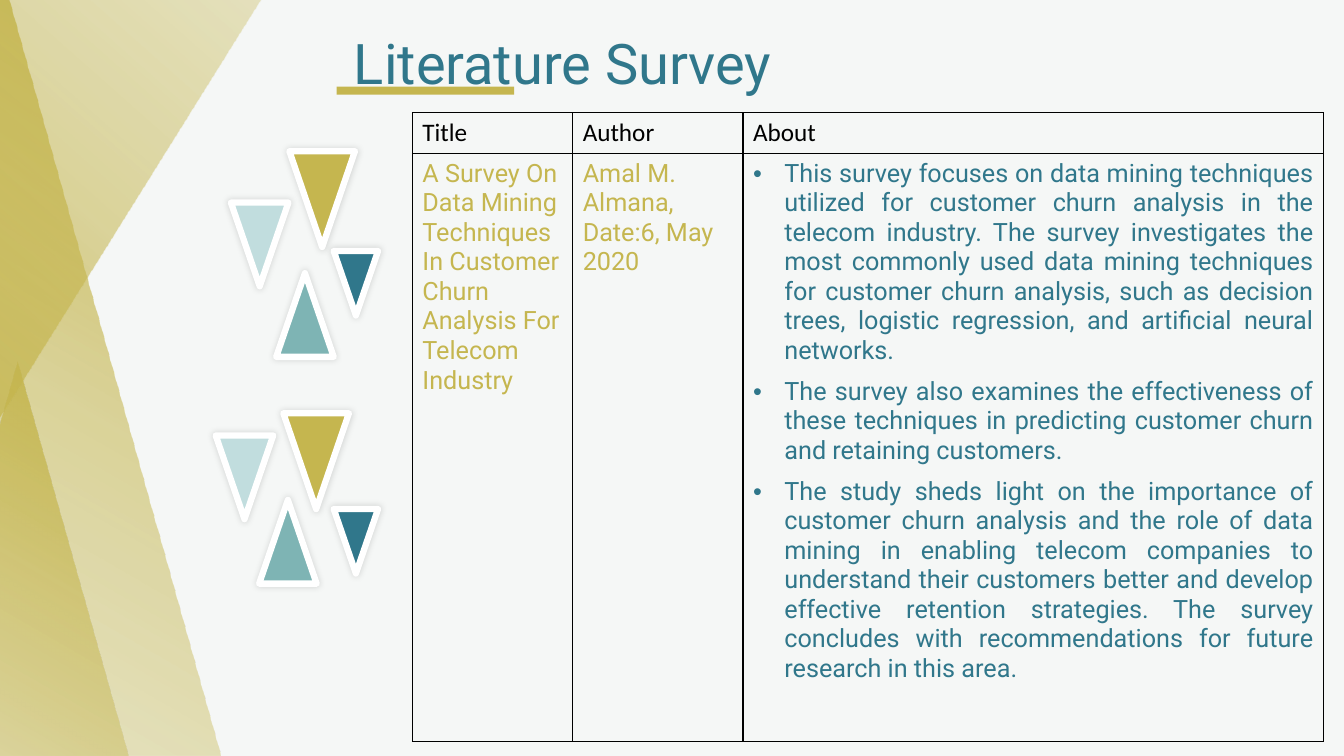
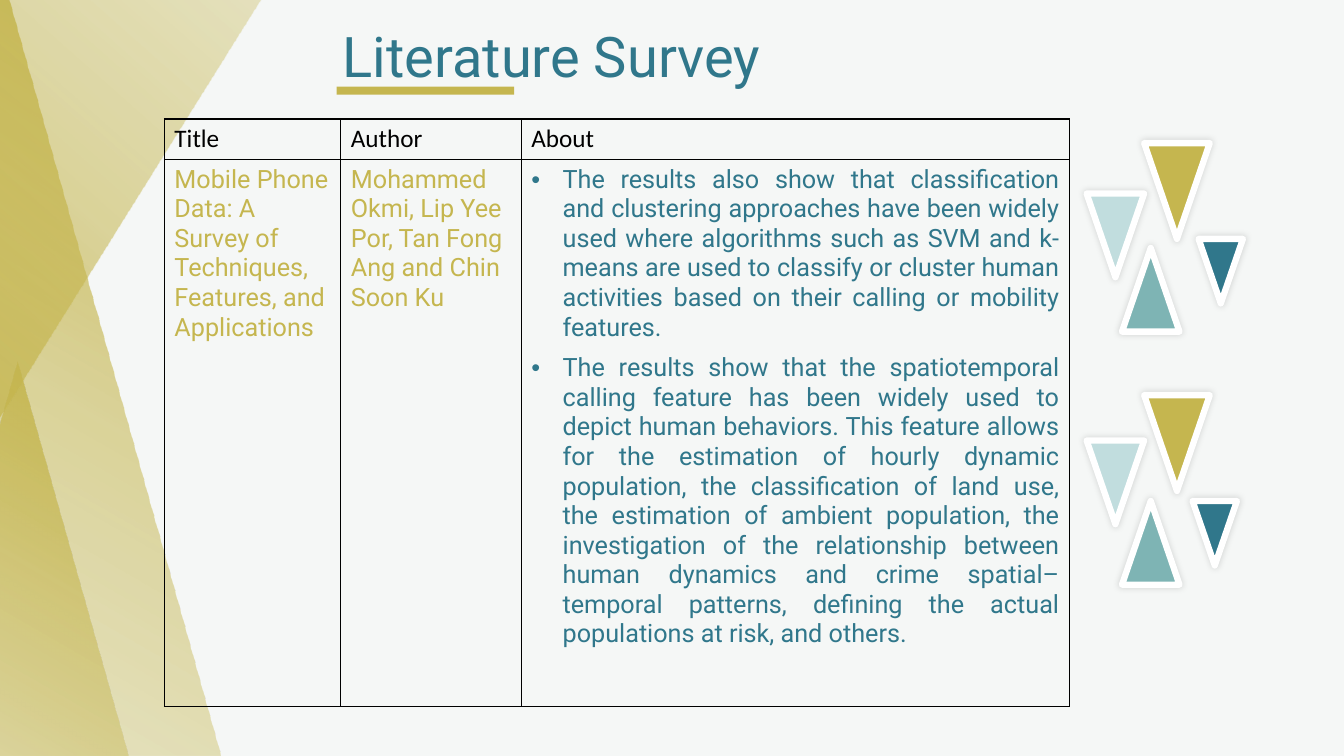
from lxml import etree
from pptx import Presentation, util as u
from pptx.dml.color import RGBColor
from pptx.enum import shapes, text
from pptx.oxml import parse_xml
from pptx.oxml.ns import nsdecls, qn

GOLD, BLUE, TEAL, PALE = "C5B64F", "30778B", "7EB4B4", "C1DDDE"
PAPER, WHITE, BLACK = "F5F7F6", "FFFFFF", "000000"
HEADINGS = ("Title", "Author", "About")

# Triangles of a cluster: colour, width, height, rotation
CLUSTER = (
    (TEAL, 4.28, 11.07, 0),
    (PALE, 4.28, 11.07, 180),
    (BLUE, 3.3, 8.53, 180),
    (GOLD, 4.88, 12.67, 180),
)

# Large triangles at the left edge: left, top, width, height, rotation
EDGE_TRIANGLES = (
    (-7.5, 47.87, 17.55, 55.47, 0),
    (-16.43, -4.27, 32.85, 104.27, 0),
    (-13.05, -15.47, 31.58, 75.87, 191.6),
)


def color(hex_string):
    return RGBColor.from_string(hex_string)


class Deck:
    """Holds the style and the current slide; lengths are percent of the slide."""

    def __init__(self):
        self.presentation = Presentation()
        self.presentation.slide_width = u.Inches(13.33)
        self.presentation.slide_height = u.Inches(7.5)
        self.slide = None
        fill = self.presentation.slide_master.background.fill
        fill.solid()
        fill.fore_color.rgb = color(PAPER)

    def across(self, columns):
        return u.Emu(round(self.presentation.slide_width * columns / 100))

    def down(self, rows):
        return u.Emu(round(self.presentation.slide_height * rows / 100))

    def box(self, left, top, width, height):
        return self.across(left), self.down(top), self.across(width), self.down(height)

    def add_slide(self):
        title_only = self.presentation.slide_layouts[5]
        self.slide = self.presentation.slides.add_slide(title_only)

    def shape(self, kind, box, fill, rotation=0):
        shape = self.slide.shapes.add_shape(kind, *self.box(*box))
        shape.shadow.inherit = False
        shape.rotation = rotation
        shape.fill.solid()
        shape.fill.fore_color.rgb = color(fill)
        shape.line.fill.background()
        return shape

    def master_edge(self):
        """Draw the edge triangles and move them to the slide master."""
        tree = self.presentation.slide_master.shapes._spTree
        for number, (*box, rotation) in enumerate(EDGE_TRIANGLES):
            shape = self.shape(shapes.MSO_SHAPE.ISOSCELES_TRIANGLE, box, GOLD, rotation)
            properties = shape._element.spPr
            stops = "".join(
                f'<a:gs pos="{position}000"><a:srgbClr val="{GOLD}">'
                f'<a:alpha val="{opacity}000"/></a:srgbClr></a:gs>'
                for position, opacity in ((0, 100), (50, 55), (100, 23)))
            gradient = parse_xml(
                f'<a:gradFill {nsdecls("a")} rotWithShape="1"><a:gsLst>{stops}</a:gsLst>'
                '<a:lin ang="7200000" scaled="0"/></a:gradFill>')
            properties.replace(properties.find(qn("a:solidFill")), gradient)
            shape._element.nvSpPr.cNvPr.set("id", str(100 + number))
            tree.insert(2 + number, shape._element)

    def title(self, wording, left, top):
        title = self.slide.shapes.title
        title.left, title.top, title.width, title.height = self.box(left, top, 34.65, 10.27)
        frame = title.text_frame
        frame.text = wording
        frame.auto_size = text.MSO_AUTO_SIZE.NONE
        frame.vertical_anchor = text.MSO_ANCHOR.TOP
        frame.paragraphs[0].alignment = text.PP_ALIGN.RIGHT
        self.style(frame.paragraphs[0], BLUE, size=40)
        self.shape(shapes.MSO_SHAPE.RECTANGLE, (25.05, 11.47, 13.2, 1.07), GOLD)

    def style(self, paragraph, hex_string, name="Roboto", size=18):
        for run in paragraph.runs:
            run.font.name, run.font.size, run.font.bold = name, u.Pt(size), False
            run.font.color.rgb = color(hex_string)

    def cluster(self, corners):
        """Four outlined triangles with a soft shadow."""
        for (fill, width, height, rotation), corner in zip(CLUSTER, corners):
            shape = self.shape(shapes.MSO_SHAPE.ISOSCELES_TRIANGLE,
                               (*corner, width, height), fill, rotation)
            shape.line.color.rgb = color(WHITE)
            shape.line.width = u.Pt(4.5)
            effects = shape._element.spPr.find(qn("a:effectLst"))
            effects.append(parse_xml(
                f'<a:outerShdw {nsdecls("a")} blurRad="{u.Pt(5)}" dist="0" dir="0">'
                f'<a:srgbClr val="{BLACK}"><a:alpha val="15000"/></a:srgbClr></a:outerShdw>'))

    def bullet(self, paragraph):
        properties = paragraph._p.get_or_add_pPr()
        properties.set("marL", str(u.Inches(0.31)))
        properties.set("indent", str(-u.Inches(0.31)))
        etree.SubElement(properties, qn("a:buFont")).set("typeface", "Arial")
        etree.SubElement(properties, qn("a:buChar")).set("char", "•")
        paragraph.alignment = text.PP_ALIGN.JUSTIFY
        paragraph.space_after = u.Pt(8)

    def cell(self, cell, lines, hex_string, name="Roboto", bulleted=False):
        cell.text_frame.text = "\n".join(lines)
        for paragraph in cell.text_frame.paragraphs:
            if bulleted:
                self.bullet(paragraph)
            self.style(paragraph, hex_string, name)
        cell.fill.background()
        for index, side in enumerate("LRTB"):
            cell._tc.get_or_add_tcPr().insert(index, parse_xml(
                f'<a:ln{side} {nsdecls("a")} w="{u.Pt(1)}"><a:solidFill>'
                f'<a:srgbClr val="{BLACK}"/></a:solidFill></a:ln{side}>'))

    def table(self, left, top, columns, rows, paper, author, about):
        box = self.box(left, top, sum(columns), sum(rows))
        table = self.slide.shapes.add_table(len(rows), len(columns), *box).table
        table.first_row = table.horz_banding = False
        for column, width in zip(table.columns, columns):
            column.width = self.across(width)
        for row, height in zip(table.rows, rows):
            row.height = self.down(height)
        for index, heading in enumerate(HEADINGS):
            self.cell(table.cell(0, index), [heading], BLACK, "Calibri")
        self.cell(table.cell(1, 0), paper, GOLD)
        self.cell(table.cell(1, 1), [author], GOLD)
        self.cell(table.cell(1, 2), about, BLUE, bulleted=True)


def main():
    deck = Deck()

    # Survey of data mining techniques
    deck.add_slide()
    deck.master_edge()
    deck.title("Literature Survey", 23.48, 3.07)
    deck.cluster(((20.55, 36.13), (17.18, 26.8), (24.83, 33.2), (21.53, 20)))
    deck.cluster(((19.28, 66.13), (16.05, 57.6), (24.83, 67.33), (21.08, 54.67)))
    deck.table(
        30.68, 14.93, (11.93, 12.68, 43.2), (5.33, 77.73),
        ["A Survey On Data Mining Techniques In Customer Churn",
         "Analysis For Telecom Industry"],
        "Amal M. Almana, Date:6, May 2020",
        ["This survey focuses on data mining techniques utilized for customer churn "
         "analysis in the telecom industry. The survey investigates the most commonly "
         "used data mining techniques for customer churn analysis, such as decision "
         "trees, logistic regression, and artificial neural networks.",
         "The survey also examines the effectiveness of these techniques in predicting "
         "customer churn and retaining customers.",
         "The study sheds light on the importance of customer churn analysis and the "
         "role of data mining in enabling telecom companies to understand their "
         "customers better and develop effective retention strategies. The survey "
         "concludes with recommendations for future research in this area."])

    # Survey of mobile phone data
    deck.add_slide()
    deck.title("Literature Survey", 22.65, 2.13)
    deck.cluster(((83.48, 32.8), (80.85, 25.6), (89.18, 31.6), (85.13, 18.93)))
    deck.cluster(((83.48, 66.27), (80.85, 58.27), (88.73, 66.27), (85.13, 52.27)))
    deck.table(
        12.23, 15.73, (13.13, 13.43, 40.8), (5.33, 72.27),
        ["Mobile Phone Data: A Survey of Techniques, Features, and Applications"],
        "Mohammed Okmi, Lip Yee Por, Tan Fong Ang and Chin Soon Ku",
        ["The results also show that classification and clustering approaches have "
         "been widely used where algorithms such as SVM and k-means are used to "
         "classify or cluster human activities based on their calling or mobility "
         "features.",
         "The results show that the spatiotemporal calling feature has been widely "
         "used to depict human behaviors. This feature allows for the estimation of "
         "hourly dynamic population, the classification of land use, the estimation "
         "of ambient population, the investigation of the relationship between human "
         "dynamics and crime spatial–temporal patterns, defining the actual "
         "populations at risk, and others."])

    deck.presentation.save("out.pptx")


if __name__ == "__main__":
    main()
